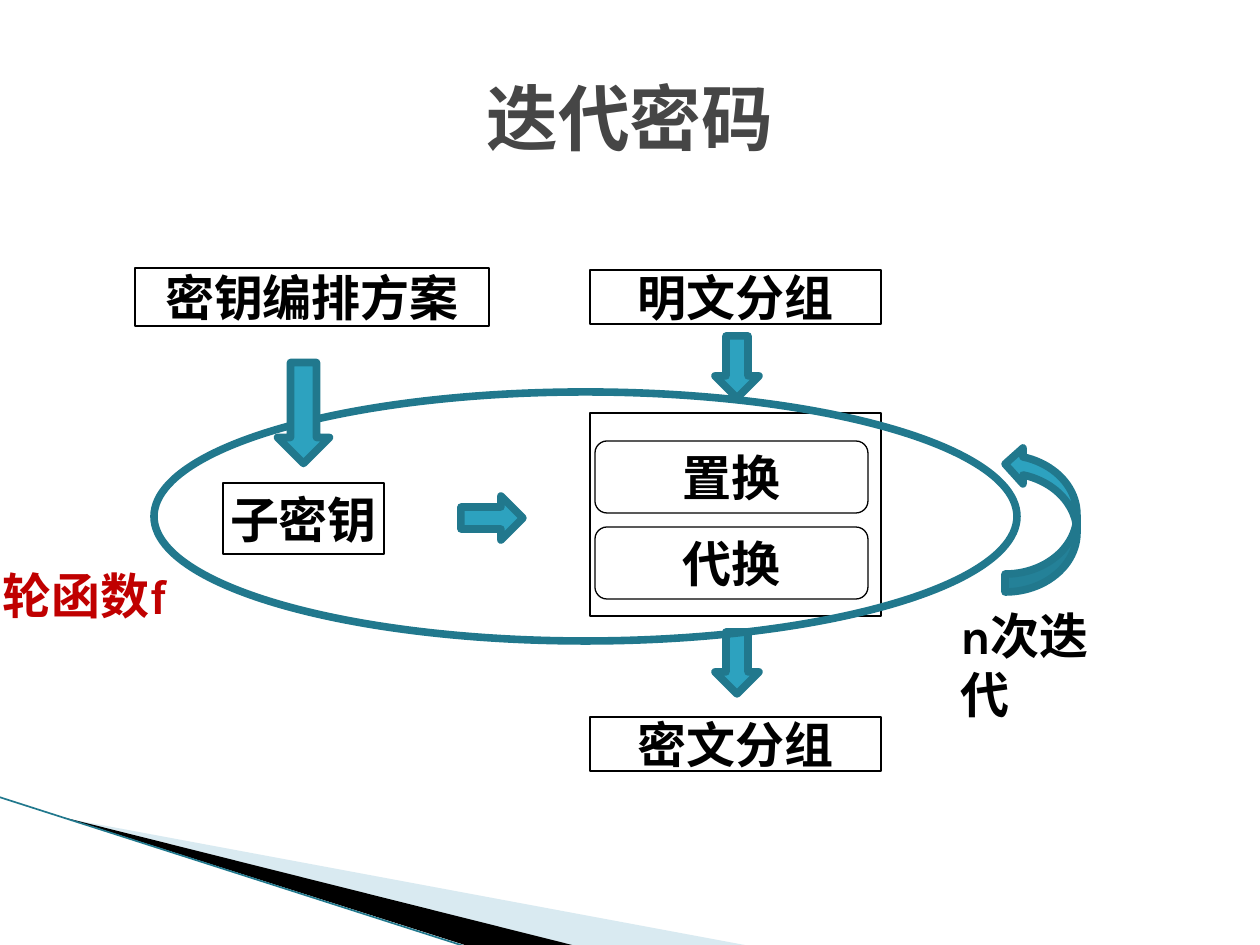
"""Build the slide on iterated ciphers: key schedule, round function and iteration."""
from lxml import etree
from pptx import Presentation
from pptx.dml.color import RGBColor
from pptx.enum.shapes import MSO_CONNECTOR, MSO_SHAPE
from pptx.enum.text import MSO_ANCHOR, PP_ALIGN
from pptx.oxml.ns import qn
from pptx.util import Pt

PX = 914400 / 126
BLACK = RGBColor(0x00, 0x00, 0x00)
WHITE = RGBColor(0xFF, 0xFF, 0xFF)
GRAY = RGBColor(0x46, 0x46, 0x46)
RED = RGBColor(0xC0, 0x00, 0x00)
TEAL = RGBColor(0x2D, 0xA2, 0xBF)
DARK_TEAL = RGBColor(0x21, 0x78, 0x8D)
PALE_BLUE = RGBColor(0xA0, 0xCB, 0xDC)
RECT, ROUNDED = MSO_SHAPE.RECTANGLE, MSO_SHAPE.ROUNDED_RECTANGLE
RIGHT, CURVED, OVAL = MSO_SHAPE.RIGHT_ARROW, MSO_SHAPE.CURVED_UP_ARROW, MSO_SHAPE.OVAL
CENTER, LEFT = PP_ALIGN.CENTER, PP_ALIGN.LEFT
MIDDLE, TOP = MSO_ANCHOR.MIDDLE, MSO_ANCHOR.TOP

deck = Presentation()
deck.slide_width, deck.slide_height = round(1260 * PX), round(945 * PX)
page = deck.slides.add_slide(deck.slide_layouts[6])


def write(box, text, size=28, font="Karla", color=BLACK, align=CENTER, anchor=MIDDLE, wrap=True):
    frame = box.text_frame
    frame.word_wrap = wrap
    frame.vertical_anchor = anchor
    para = frame.paragraphs[0]
    para.text = text
    para.alignment = align
    span = para.runs[0]
    span.font.size = Pt(size)
    span.font.name = font
    span.font.bold = True
    span.font.color.rgb = color


def draw(kind, area, fill, line, width, turn=0):
    shape = page.shapes.add_shape(kind, *(round(v * PX) for v in area))
    shape.shadow.inherit = False
    shape.rotation = turn
    if fill is None:
        shape.fill.background()
    else:
        shape.fill.solid()
        shape.fill.fore_color.rgb = fill
    shape.line.color.rgb = line
    shape.line.width = Pt(width)
    return shape


wedges = [
    ([(69, 819), (750, 946), (575, 946)], PALE_BLUE, 40),
    ([(66, 818), (576, 946), (468, 946)], BLACK, 100),
]
for points, color, opacity in wedges:
    builder = page.shapes.build_freeform(*points[0], scale=PX)
    builder.add_line_segments(points[1:], close=True)
    wedge = builder.convert_to_shape()
    wedge.shadow.inherit = False
    wedge.fill.solid()
    wedge.fill.fore_color.rgb = color
    wedge.line.fill.background()
    if opacity < 100:
        tint = wedge.fill._xPr.find(qn("a:solidFill"))[0]
        etree.SubElement(tint, qn("a:alpha"), val=str(opacity * 1000))

edge = page.shapes.add_connector(
    MSO_CONNECTOR.STRAIGHT, *(round(v * PX) for v in (-1, 797, 467, 947)))
edge.line.color.rgb = DARK_TEAL
edge.line.width = Pt(0.95)
etree.SubElement(edge._element.spPr, qn("a:effectLst"))

title = page.shapes.add_textbox(*(round(v * PX) for v in (63, 38, 1134, 157)))
write(title, "迭代密码", 41, "DejaVu Sans Mono", GRAY)

draw(RECT, (590, 413, 291, 203), WHITE, BLACK, 0.75)
labels = [
    (RECT, (590, 270, 291, 54), "明文分组"),
    (RECT, (590, 717, 291, 54), "密文分组"),
    (ROUNDED, (595, 441, 273, 72), "置换"),
    (ROUNDED, (595, 527, 273, 72), "代换"),
    (RECT, (223, 483, 161, 71), "子密钥"),
    (RECT, (135, 268, 354, 58), "密钥编排方案"),
]
for kind, area, text in labels:
    write(draw(kind, area, WHITE, BLACK, 0.75), text, wrap=False)

flow = [
    (CURVED, (968, 483, 146, 72), 270, TEAL),
    (RIGHT, (461, 496, 62, 44), 0, TEAL),
    (RIGHT, (706, 345, 62, 44), 90, TEAL),
    (RIGHT, (706, 641, 62, 44), 90, TEAL),
    (OVAL, (154, 392, 863, 249), 0, None),
    (RIGHT, (253, 387, 101, 52), 90, TEAL),
]
for kind, area, turn, fill in flow:
    draw(kind, area, fill, DARK_TEAL, 4.33, turn)

notes = [
    ((948, 599, 180, 72), "n次迭代", BLACK),
    ((-10, 559, 214, 72), "轮函数f", RED),
]
for area, text, color in notes:
    box = page.shapes.add_textbox(*(round(v * PX) for v in area))
    write(box, text, color=color, align=LEFT, anchor=TOP)

deck.save("out.pptx")
